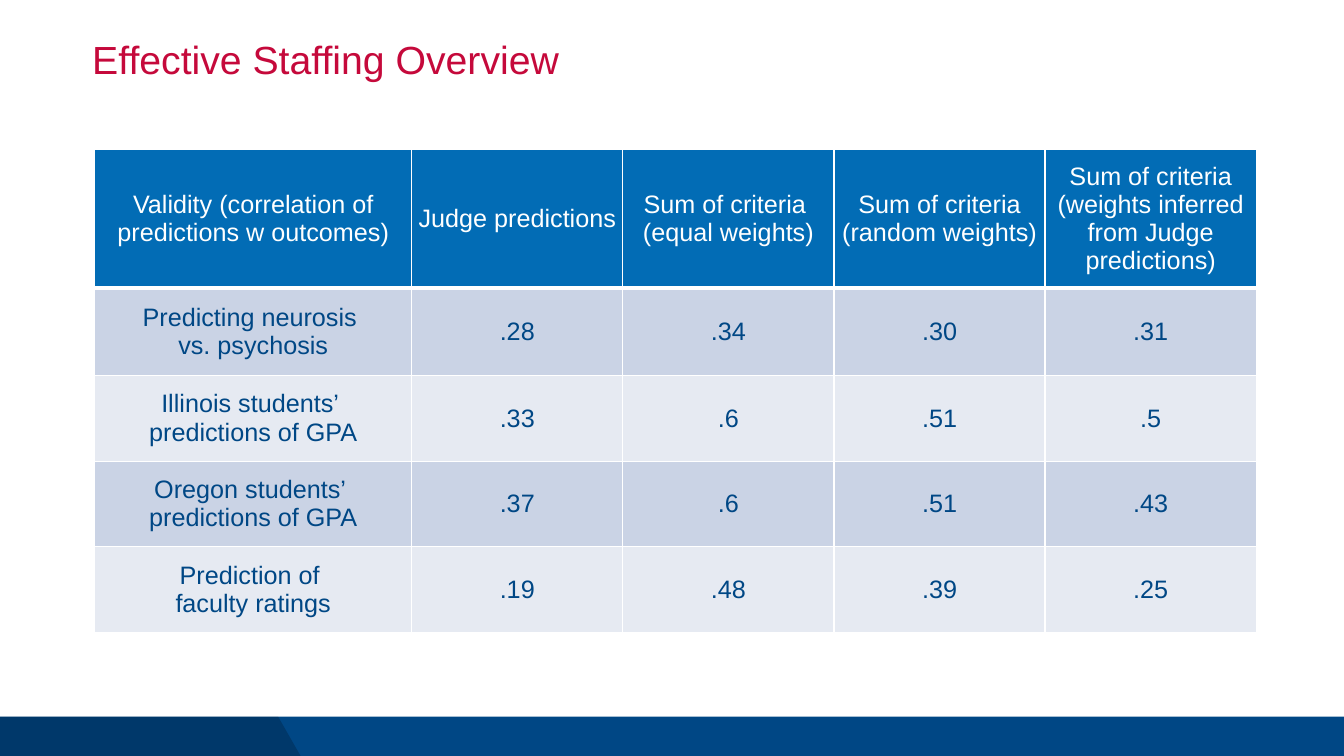
from pptx import Presentation
from pptx.dml.color import RGBColor as RGB
from pptx.enum.shapes import MSO_SHAPE as SHAPE
from pptx.enum.text import MSO_ANCHOR as ANCHOR, PP_ALIGN as ALIGN
from pptx.oxml import parse_xml
from pptx.oxml.ns import nsdecls, qn
from pptx.util import Inches, Pt
from lxml import etree

WHITE = RGB(0xFF, 0xFF, 0xFF)
BLACK = RGB(0, 0, 0)
NAVY = RGB(0x00, 0x47, 0x85)
BLUE = RGB(0x02, 0x6C, 0xB5)
RED = RGB(0xC5, 0x09, 0x3B)
BANDS = [RGB(0xCA, 0xD3, 0xE5), RGB(0xE6, 0xEA, 0xF2)]

WIDTH, HEIGHT = 26.67, 15
FOOTER_TOP, FOOTER_HEIGHT = 14.22, 0.84
COLUMNS = [6.29] + [4.19] * 4
ROWS = [2.76, 1.73] + [1.7] * 3
TABLE = [
    ["Validity (correlation of predictions w outcomes)", "Judge predictions",
     "Sum of criteria \v(equal weights)", "Sum of criteria (random weights)",
     "Sum of criteria (weights inferred from Judge predictions)"],
    ["Predicting neurosis \vvs. psychosis", ".28", ".34", ".30", ".31"],
    ["Illinois students’ \vpredictions of GPA", ".33", ".6", ".51", ".5"],
    ["Oregon students’ \vpredictions of GPA", ".37", ".6", ".51", ".43"],
    ["Prediction of \vfaculty ratings", ".19", ".48", ".39", ".25"],
]


def paint(shape, color):
    shape.shadow.inherit = False
    shape.fill.solid()
    shape.fill.fore_color.rgb = color
    shape.line.fill.background()


def add_borders(cell, bottom):
    """Give a cell white borders, 2 pt wide except for the bottom one."""
    tcPr = cell._tc.get_or_add_tcPr()
    for i, (side, width) in enumerate([("L", 2), ("R", 2), ("T", 2), ("B", bottom)]):
        tcPr.insert(i, parse_xml(
            f'<a:ln{side} {nsdecls("a")} w="{Pt(width)}"><a:solidFill>'
            f'<a:srgbClr val="{WHITE}"/></a:solidFill></a:ln{side}>'))


prs = Presentation()
prs.slide_width, prs.slide_height = Inches(WIDTH), Inches(HEIGHT)
s = prs.slides.add_slide(prs.slide_layouts[5])

# Footer band with a darker slanted end
band = s.shapes.add_shape(SHAPE.RECTANGLE, 0, Inches(FOOTER_TOP),
                          prs.slide_width, Inches(FOOTER_HEIGHT))
paint(band, NAVY)
bottom = FOOTER_TOP + FOOTER_HEIGHT
builder = s.shapes.build_freeform(0, Inches(FOOTER_TOP))
builder.add_line_segments([(Inches(x), Inches(y)) for x, y in
                           [(5.52, FOOTER_TOP), (6, bottom), (0, bottom)]])
slant = builder.convert_to_shape()
paint(slant, BLACK)
color = slant._element.spPr.find(qn("a:solidFill"))[0]
etree.SubElement(color, qn("a:alpha"), val="20000")

# Title
title = s.shapes.title
title.left, title.top, title.width, title.height = map(Inches, (1.83, 0.8, 23, 1.05))
tf = title.text_frame
tf.text = "Effective Staffing Overview"
tf.margin_left = tf.margin_right = tf.margin_top = tf.margin_bottom = 0
tf.vertical_anchor = ANCHOR.TOP
p = tf.paragraphs[0]
p.alignment, p.line_spacing = ALIGN.LEFT, 0.9
font = p.runs[0].font
font.name, font.size, font.color.rgb = "Arial", Pt(56), RED

# Validity table
table = s.shapes.add_table(len(ROWS), len(COLUMNS), Inches(1.88), Inches(2.96),
                           Inches(sum(COLUMNS)), Inches(sum(ROWS))).table
for column, width in zip(table.columns, COLUMNS):
    column.width = Inches(width)
for i, (row, height) in enumerate(zip(table.rows, ROWS)):
    row.height = Inches(height)
    header = i == 0
    for cell, text in zip(row.cells, TABLE[i]):
        cell.text_frame.text = text
        cell.vertical_anchor = ANCHOR.MIDDLE
        cell.margin_left = cell.margin_right = Inches(0.05)
        cell.margin_top = cell.margin_bottom = Inches(0.05)
        cell.fill.solid()
        cell.fill.fore_color.rgb = BLUE if header else BANDS[(i - 1) % 2]
        add_borders(cell, 6 if header else 2)
        p = cell.text_frame.paragraphs[0]
        p.alignment = ALIGN.CENTER
        for r in p.runs:
            r.font.name, r.font.size, r.font.bold = "Arial", Pt(36), False
            r.font.color.rgb = WHITE if header else NAVY

prs.save("out.pptx")
